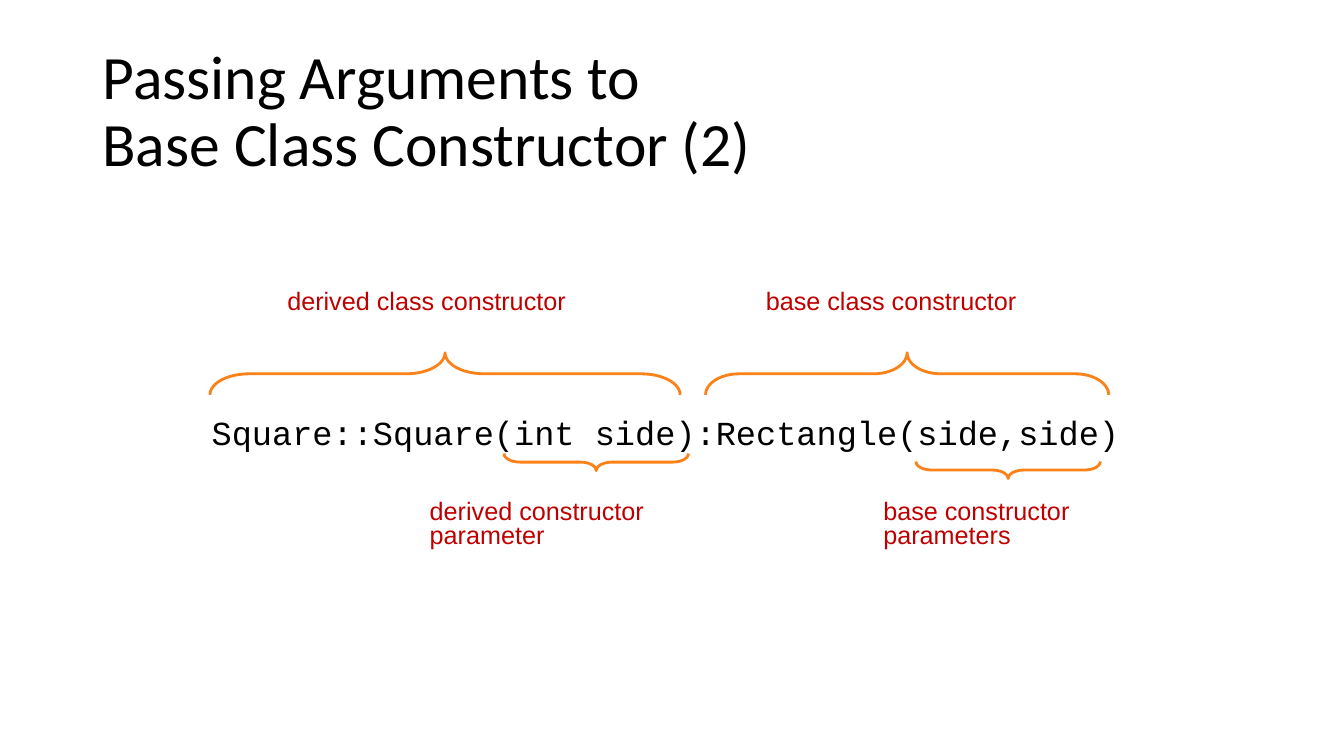
import pptx
import pptx.dml.color
import pptx.enum.shapes
import pptx.enum.text
import pptx.oxml
import pptx.util
from pptx.util import Cm

BLACK = pptx.dml.color.RGBColor(0x00, 0x00, 0x00)
RED = pptx.dml.color.RGBColor(0xC0, 0x00, 0x00)
ORANGE = pptx.dml.color.RGBColor(0xFA, 0x82, 0x18)

LEFT_BRACE = pptx.enum.shapes.MSO_SHAPE.LEFT_BRACE
RIGHT_BRACE = pptx.enum.shapes.MSO_SHAPE.RIGHT_BRACE


def add_run(paragraph, text, font_name, size, color):
    run = paragraph.add_run()
    run.text = text
    run.font.name = font_name
    run.font.size = pptx.util.Pt(size)
    run.font.color.rgb = color


def place(shape, left, top, width, height):
    shape.left, shape.top = Cm(left), Cm(top)
    shape.width, shape.height = Cm(width), Cm(height)
    shape.text_frame.auto_size = pptx.enum.text.MSO_AUTO_SIZE.NONE


def fill_title(slide, lines):
    title = slide.shapes.title
    place(title, 2.33, 1.01, 29.21, 3.68)
    title.text_frame.vertical_anchor = pptx.enum.text.MSO_ANCHOR.MIDDLE
    paragraph = title.text_frame.paragraphs[0]
    paragraph.alignment = pptx.enum.text.PP_ALIGN.LEFT
    paragraph.line_spacing = 0.9
    for index, line in enumerate(lines):
        if index:
            paragraph.add_line_break()
        add_run(paragraph, line, "Calibri", 44, BLACK)


def fill_code(slide, code):
    body = slide.placeholders[1]
    place(body, 5.08, 10.16, 23.7, 1.27)
    body.text_frame.margin_top = Cm(0.38)
    paragraph = body.text_frame.paragraphs[0]
    paragraph.line_spacing = 0.85
    paragraph.space_before = pptx.util.Pt(0)
    add_run(paragraph, code, "Courier New", 24, BLACK)
    properties = paragraph._p.get_or_add_pPr()
    properties.set("marL", "0")
    properties.set("indent", "0")
    pptx.oxml.ns.qn("a:buNone")
    properties.append(pptx.oxml.xmlchemy.OxmlElement("a:buNone"))


def add_brace(slide, kind, left, top, span, depth, curve):
    shape = slide.shapes.add_shape(
        kind,
        Cm(left + (span - depth) / 2),
        Cm(top - (span - depth) / 2),
        Cm(depth),
        Cm(span),
    )
    shape.rotation = 90
    shape.adjustments[0] = curve
    shape.adjustments[1] = 0.5
    shape.shadow.inherit = False
    shape.fill.background()
    shape.line.color.rgb = ORANGE
    shape.line.width = pptx.util.Pt(2)


def add_label(slide, text, left, top, width, height, line_spacing, wrap):
    label = slide.shapes.add_textbox(Cm(left), Cm(top), Cm(width), Cm(height))
    label.text_frame.word_wrap = wrap
    label.text_frame.auto_size = pptx.enum.text.MSO_AUTO_SIZE.SHAPE_TO_FIT_TEXT
    paragraph = label.text_frame.paragraphs[0]
    paragraph.line_spacing = line_spacing
    add_run(paragraph, text, "Arial", 18, RED)


def main():
    presentation = pptx.Presentation()
    presentation.slide_width = Cm(33.87)
    presentation.slide_height = Cm(19.05)
    slide = presentation.slides.add_slide(presentation.slide_layouts[1])

    fill_title(slide, ["Passing Arguments to ", "Base Class Constructor (2)"])
    fill_code(slide, "Square::Square(int side):Rectangle(side,side)")

    add_brace(slide, LEFT_BRACE, 5.29, 8.89, 11.85, 1.06, 0.93)
    add_brace(slide, LEFT_BRACE, 17.78, 8.89, 10.16, 1.06, 0.8)
    add_brace(slide, RIGHT_BRACE, 23.08, 11.63, 4.65, 0.43, 0.92)
    add_brace(slide, RIGHT_BRACE, 12.7, 11.43, 4.65, 0.43, 0.92)

    for text, left, width in [
        ("derived class constructor", 6.99, 7.59),
        ("base class constructor", 19.05, 6.88),
    ]:
        add_label(slide, text, left, 7.06, width, 1.02, 1.0, False)
    for text, left, width in [
        ("derived constructor parameter", 10.58, 8.46),
        ("base constructor parameters", 22.01, 6.99),
    ]:
        add_label(slide, text, left, 12.5, width, 1.5, 0.8, True)

    presentation.save("out.pptx")


if __name__ == "__main__":
    main()
